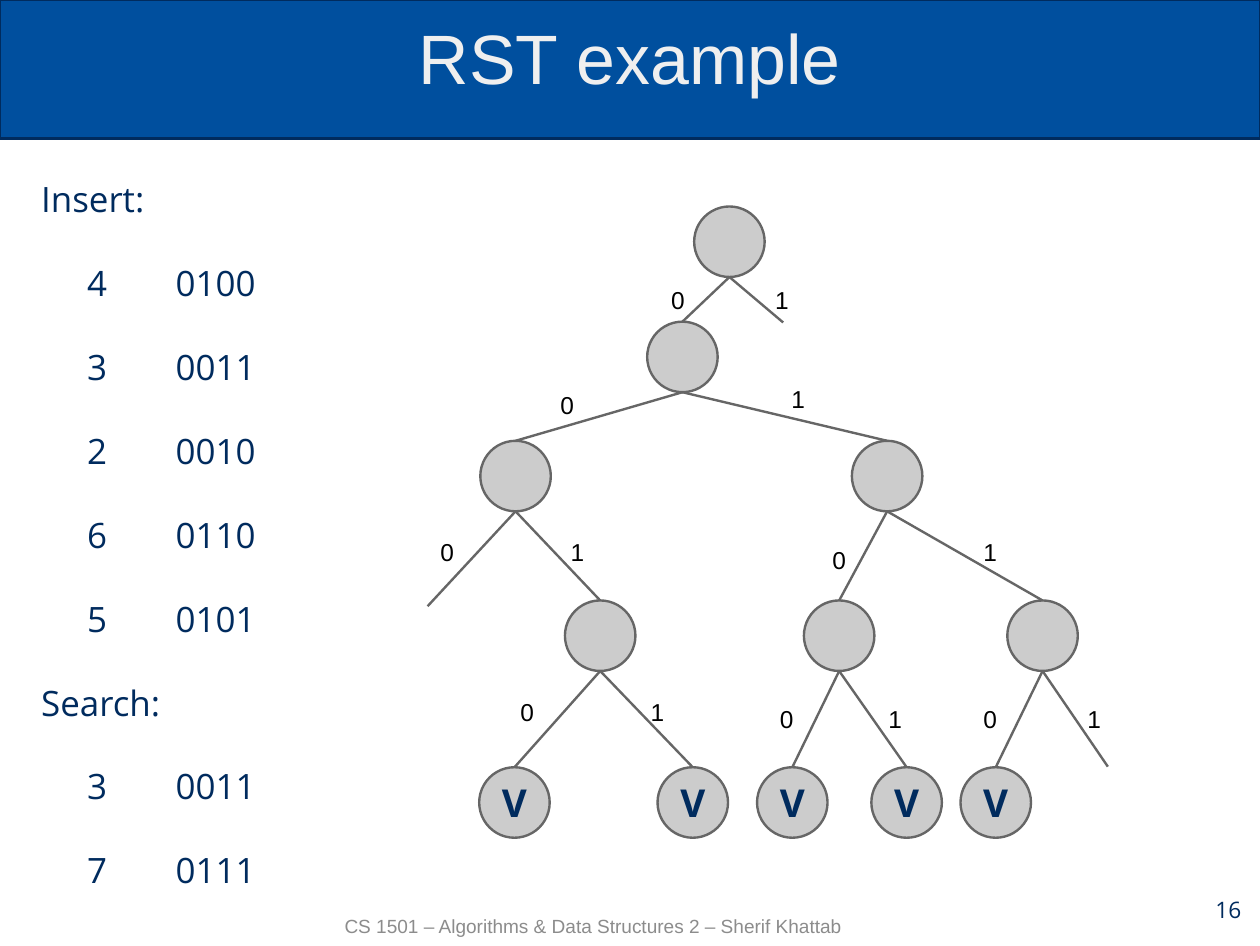
import pptx
import pptx.dml.color
import pptx.enum.shapes
import pptx.enum.text
import pptx.oxml.ns
import pptx.util
from lxml import etree

Pt = pptx.util.Pt
ALIGN = pptx.enum.text.PP_ALIGN
ANCHOR = pptx.enum.text.MSO_ANCHOR
SHAPE = pptx.enum.shapes.MSO_SHAPE

COLORS = {
    "band": "004F9E",
    "navy": "002B5E",
    "title": "EFEFEF",
    "node": "CCCCCC",
    "edge": "666666",
    "label": "000000",
    "footer": "8C8C8C",
}
WIDTH, HEIGHT = 793.5, 595.5
NODE_SIZE = 44.4
LINE_WIDTH = 1.5
INSET = 8

LIST_TOP, ROW_PITCH = 90.8, 52.8
LIST_ROWS = [
    ("Insert:",), ("4", "0100"), ("3", "0011"), ("2", "0010"), ("6", "0110"),
    ("5", "0101"), ("Search:",), ("3", "0011"), ("7", "0111"),
]

LEVEL_TOPS = [130, 202.5, 277.5, 378, 483]
# Each node is named by its bit path: centre x; its level is the path length.
NODE_CENTERS = {
    "": 459.4,
    "0": 429.8,
    "00": 324.7, "01": 558.7,
    "001": 378, "010": 528.5, "011": 656.6,
    "0010": 324, "0011": 436.3, "0100": 499, "0101": 571, "0110": 627.1,
}
OPEN_ENDS = {"1": (493.2, 203), "000": (269.3, 381.6), "0111": (697.7, 482.6)}
LABEL_CORNERS = {
    "0": (414.7, 179.3), "1": (480.2, 179.3),
    "00": (344.9, 245.5), "01": (490.3, 241.9),
    "000": (269.3, 337.7), "001": (351.4, 337.7),
    "010": (516.2, 342.7), "011": (611.3, 337.7),
    "0010": (319.7, 438.5), "0011": (401.8, 438.5),
    "0100": (483.1, 442.8), "0101": (551.5, 442.8),
    "0110": (611.3, 442.8), "0111": (676.8, 442.8),
}


def rgb(name):
    return pptx.dml.color.RGBColor.from_string(COLORS[name])


class TreeSlide:
    def __init__(self, slide):
        self.slide = slide
        self.shapes = slide.shapes

    def fill_text(self, shape, text, size, color, font="Open Sans", bold=False,
                  align=ALIGN.LEFT, anchor=ANCHOR.TOP, inset=INSET, spacing=1):
        frame = shape.text_frame
        frame.text = text
        frame.word_wrap = True
        frame.auto_size = pptx.enum.text.MSO_AUTO_SIZE.NONE
        frame.vertical_anchor = anchor
        frame.margin_left = frame.margin_right = Pt(inset)
        frame.margin_top = frame.margin_bottom = Pt(inset)
        paragraph = frame.paragraphs[0]
        paragraph.alignment = align
        paragraph.line_spacing = spacing
        paragraph.space_before = Pt(0)
        for run in paragraph.runs:
            run.font.name = font
            run.font.size = Pt(size)
            run.font.bold = bold
            run.font.color.rgb = rgb(color)

    def text(self, box, text, size, color, **style):
        shape = self.shapes.add_textbox(*map(Pt, box))
        self.fill_text(shape, text, size, color, **style)

    def shape(self, kind, box, fill, line):
        shape = self.shapes.add_shape(kind, *map(Pt, box))
        shape.shadow.inherit = False
        shape.fill.solid()
        shape.fill.fore_color.rgb = rgb(fill)
        shape.line.color.rgb = rgb(line)
        shape.line.width = Pt(LINE_WIDTH)
        return shape

    def title(self, text):
        """Place the title above a full-width band."""
        title = self.shapes.title
        title.left, title.top, title.width, title.height = map(Pt, (39.6, 17.3, 714.2, 52.6))
        self.fill_text(title, text, 44, "title", font="Arial",
                       align=ALIGN.CENTER, anchor=ANCHOR.BOTTOM)
        band = self.shape(SHAPE.RECTANGLE, (0, 0, WIDTH, 87.1), "band", "navy")
        title.element.addprevious(band.element)

    def node(self, center, top, text):
        box = (center - NODE_SIZE / 2, top, NODE_SIZE, NODE_SIZE)
        shape = self.shape(SHAPE.OVAL, box, "node", "edge")
        if text:
            self.fill_text(shape, text, 24.2, "navy", bold=True, inset=0,
                           align=ALIGN.CENTER, anchor=ANCHOR.MIDDLE)
        return shape

    def edge(self, start, end, child=None):
        line = self.shapes.add_connector(
            pptx.enum.shapes.MSO_CONNECTOR.STRAIGHT, *map(Pt, start + end))
        if child is not None:
            line.end_connect(child, 0)
        line.line.color.rgb = rgb("edge")
        line.line.width = Pt(LINE_WIDTH)
        properties = line.element.find(pptx.oxml.ns.qn("p:spPr"))
        etree.SubElement(properties, pptx.oxml.ns.qn("a:effectLst"))


def draw_key_list(page):
    for index, row in enumerate(LIST_ROWS):
        top = LIST_TOP + index * ROW_PITCH
        if len(row) == 1:
            cells = [(18, 108, ALIGN.LEFT)]
        else:
            cells = [(38.9, 44.6, ALIGN.CENTER), (92.2, 87.1, ALIGN.CENTER)]
        for text, (left, width, align) in zip(row, cells):
            page.text((left, top, width, ROW_PITCH), text, 22, "navy",
                      align=align, spacing=1.5)


def draw_tree(page):
    leaf_level = len(LEVEL_TOPS) - 1
    nodes = {}
    for bits, center in NODE_CENTERS.items():
        level = len(bits)
        nodes[bits] = page.node(center, LEVEL_TOPS[level], "V" if level == leaf_level else "")
    for bits, (left, top) in LABEL_CORNERS.items():
        parent, bit = bits[:-1], bits[-1]
        start = (NODE_CENTERS[parent], LEVEL_TOPS[len(parent)] + NODE_SIZE)
        if bits in nodes:
            end = (NODE_CENTERS[bits], LEVEL_TOPS[len(bits)])
        else:
            end = OPEN_ENDS[bits]
        page.edge(start, end, nodes.get(bits))
        page.text((left, top, 37.4, 18.7), bit, 15.4, "label",
                  font="Arial", anchor=ANCHOR.MIDDLE)


def main():
    presentation = pptx.Presentation()
    presentation.slide_width = Pt(WIDTH)
    presentation.slide_height = Pt(HEIGHT)
    page = TreeSlide(presentation.slides.add_slide(presentation.slide_layouts[5]))
    page.title("RST example")
    draw_key_list(page)
    draw_tree(page)
    page.text((742.3, 550.1, 47.5, 45.4), "16", 14.3, "navy",
              align=ALIGN.RIGHT, anchor=ANCHOR.MIDDLE)
    page.text((193, 574, 361.4, 21), "CS 1501 – Algorithms & Data Structures 2 – Sherif Khattab",
              12, "footer", font="Arial", align=ALIGN.CENTER,
              anchor=ANCHOR.MIDDLE, inset=0, spacing=0.69)
    presentation.save("out.pptx")


if __name__ == "__main__":
    main()
